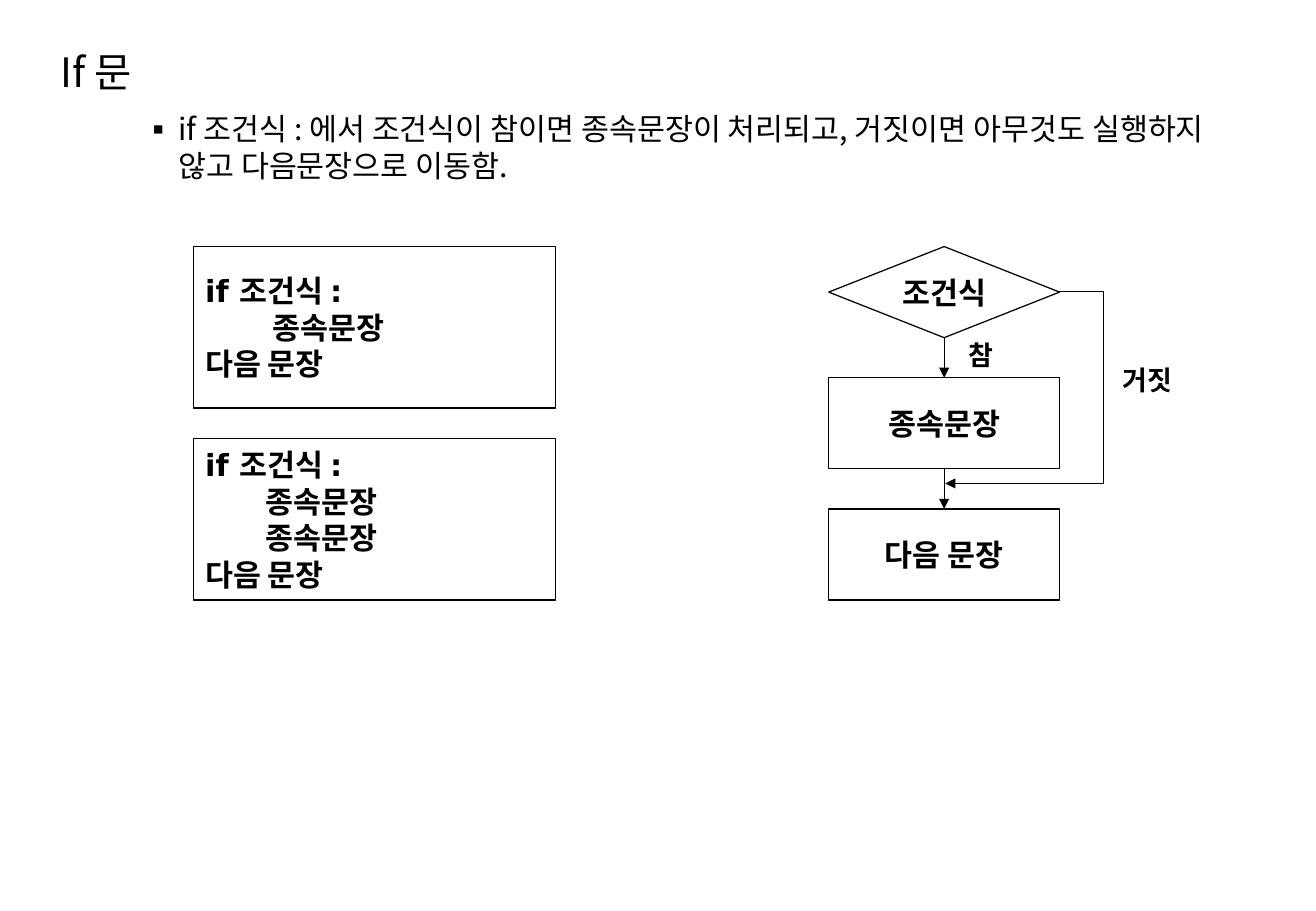
import pptx
import pptx.dml.color
import pptx.enum.shapes
import pptx.enum.text
import pptx.oxml
import pptx.oxml.ns
import pptx.util

Inches = pptx.util.Inches
Pt = pptx.util.Pt
SHAPES = pptx.enum.shapes.MSO_SHAPE
ALIGN = pptx.enum.text.PP_ALIGN
ANCHOR = pptx.enum.text.MSO_ANCHOR
qn = pptx.oxml.ns.qn

COLOURS = {"ink": "000000", "paper": "FFFFFF"}
HANGUL_FONT = "Noto Sans CJK KR"
CODE_FONT = "DejaVu Sans"


def add_xml(parent, tag, **attributes):
    child = parent.makeelement(qn(tag), attributes)
    parent.append(child)
    return child


class SlideBuilder:
    def __init__(self, slide):
        self.slide = slide
        self.ink = pptx.dml.color.RGBColor.from_string(COLOURS["ink"])
        background = slide.background.fill
        background.solid()
        background.fore_color.rgb = pptx.dml.color.RGBColor.from_string(COLOURS["paper"])

    def fill_text(self, shape, lines, size, font=CODE_FONT, bold=True,
                  align=ALIGN.CENTER, anchor=ANCHOR.MIDDLE, wrap=False):
        frame = shape.text_frame
        frame.word_wrap = wrap
        frame.vertical_anchor = anchor
        for index, line in enumerate(lines):
            paragraph = frame.add_paragraph() if index else frame.paragraphs[0]
            paragraph.alignment = align
            paragraph.line_spacing = Pt(round(size * 1.2, 1))
            run = paragraph.add_run()
            run.text = line
            run.font.size = Pt(size)
            run.font.bold = bold
            run.font.name = font
            run.font.color.rgb = self.ink
            add_xml(run.font._element, "a:ea", typeface=HANGUL_FONT)

    def text(self, left, top, width, height, lines, size, **style):
        box = self.slide.shapes.add_textbox(
            Inches(left), Inches(top), Inches(width), Inches(height))
        self.fill_text(box, lines, size, **style)
        return box

    def bullet(self, box, indent, hanging):
        properties = box.text_frame.paragraphs[0]._p.get_or_add_pPr()
        properties.set("marL", str(Inches(indent)))
        properties.set("indent", str(-Inches(hanging)))
        add_xml(properties, "a:buFont", typeface=HANGUL_FONT)
        add_xml(properties, "a:buChar", char="▪")

    def outline(self, shape, arrow=False):
        shape.line.color.rgb = self.ink
        shape.line.width = Pt(0.75)
        if arrow:
            add_xml(shape._element.spPr.find(qn("a:ln")), "a:tailEnd", type="triangle")

    def box(self, kind, left, top, width, height, lines, **style):
        shape = self.slide.shapes.add_shape(
            kind, Inches(left), Inches(top), Inches(width), Inches(height))
        shape.shadow.inherit = False
        shape.fill.background()
        self.outline(shape)
        self.fill_text(shape, lines, 18, **style)
        return shape

    def arrow_down(self, upper, lower):
        connector = self.slide.shapes.add_connector(
            pptx.enum.shapes.MSO_CONNECTOR.STRAIGHT, 0, 0, 0, 0)
        connector.begin_connect(upper, 2)
        connector.end_connect(lower, 0)
        self.outline(connector, arrow=True)
        add_xml(connector._element.spPr, "a:effectLst")

    def bent_arrow(self, points):
        (start_x, start_y), *corners = [(Inches(x), Inches(y)) for x, y in points]
        builder = self.slide.shapes.build_freeform(start_x, start_y)
        builder.add_line_segments(corners, close=False)
        shape = builder.convert_to_shape()
        shape.shadow.inherit = False
        shape.fill.background()
        self.outline(shape, arrow=True)


def main():
    presentation = pptx.Presentation()
    presentation.slide_width = Inches(10.83)
    presentation.slide_height = Inches(7.5)
    builder = SlideBuilder(presentation.slides.add_slide(presentation.slide_layouts[6]))

    plain = {"font": HANGUL_FONT, "bold": False, "align": ALIGN.LEFT, "wrap": True}
    builder.text(0.4, 0.32, 6.26, 0.54, ["If 문"], 24, **plain)
    body = builder.text(
        0.69, 0.86, 9.33, 5.58,
        ["if 조건식 : 에서 조건식이 참이면 종속문장이 처리되고, 거짓이면 아무것도 "
         "실행하지 않고 다음문장으로 이동함."],
        18, anchor=ANCHOR.TOP, **plain)
    builder.bullet(body, 0.68, 0.29)

    code_bodies = [["\t 종속문장"], ["\t종속문장", "\t종속문장"]]
    for index, code_body in enumerate(code_bodies):
        builder.box(SHAPES.FLOWCHART_PROCESS, 1.59, 2.03 + index * 1.58, 2.98, 1.33,
                    ["if 조건식 :", *code_body, "다음 문장"], align=ALIGN.LEFT, wrap=True)

    steps = [(SHAPES.FLOWCHART_DECISION, "조건식"),
             (SHAPES.FLOWCHART_PROCESS, "종속문장"),
             (SHAPES.FLOWCHART_PROCESS, "다음 문장")]
    flow = [builder.box(kind, 6.82, 2.03 + index * 1.08, 1.9, 0.75, [label])
            for index, (kind, label) in enumerate(steps)]
    for upper, lower in zip(flow, flow[1:]):
        builder.arrow_down(upper, lower)
    builder.bent_arrow([(8.71, 2.4), (9.08, 2.4), (9.08, 3.98), (7.78, 3.98)])

    for left, top, width, label in [(9.13, 2.94, 0.63, "거짓"), (7.86, 2.74, 0.42, "참")]:
        builder.text(left, top, width, 0.37, [label], 16, anchor=ANCHOR.TOP)

    presentation.save("out.pptx")


if __name__ == "__main__":
    main()
